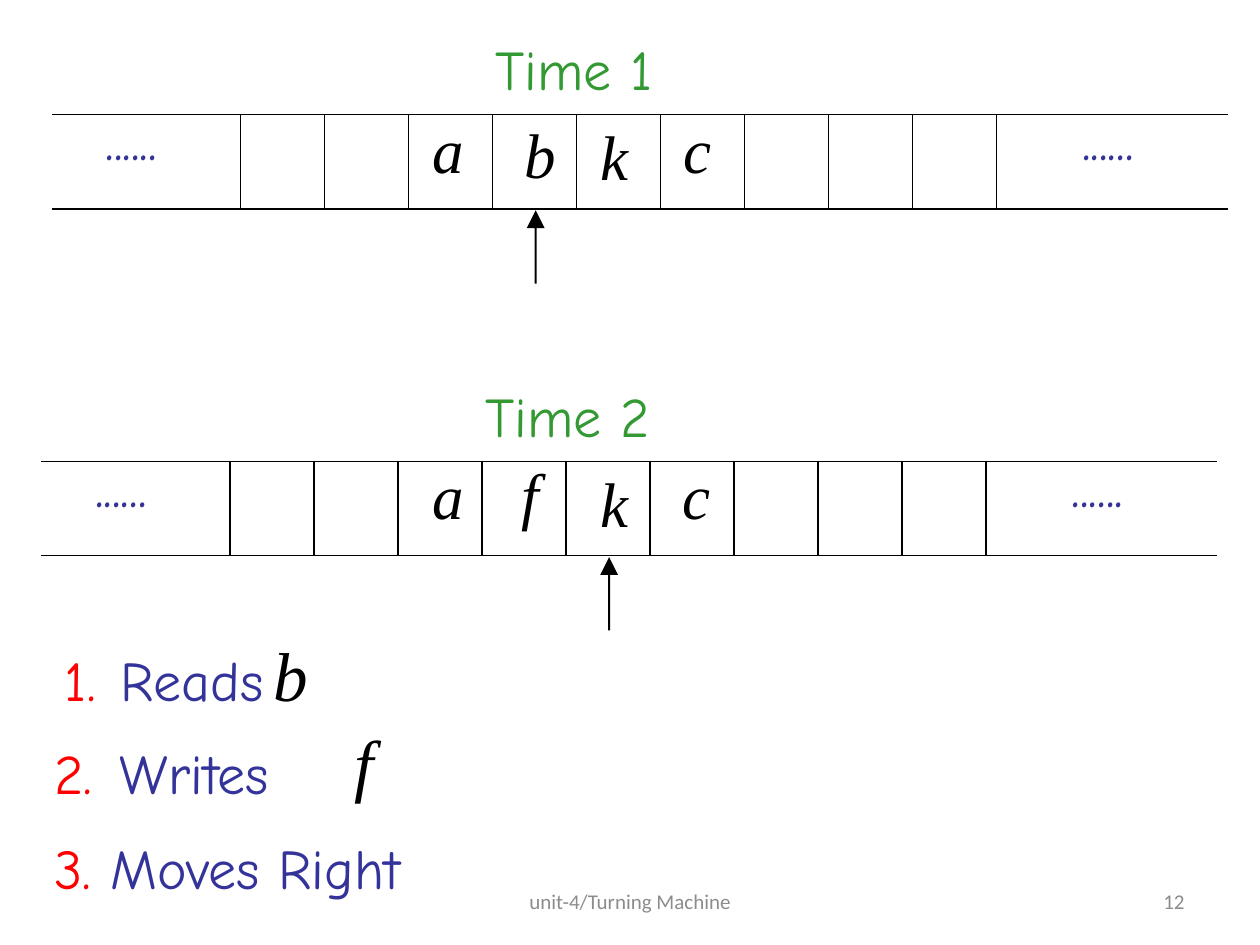
from lxml import etree
from pptx import Presentation
from pptx.dml.color import RGBColor
from pptx.enum import text
from pptx.oxml import ns
from pptx.util import Cm, Pt

# Content: (text, left margin, top margin) for the written tape cells
DOTS = "......"
BLANK = ("", 0, 0)
TAPES = [
    {"title": "Time 1", "title_at": (9.96, 0.66, 3.51, 1.42),
     "left": 1.04, "top": 2.31, "head_x": 10.8,
     "symbols": [BLANK, BLANK, ("a", 0.48, 0.05), ("b", 0.64, 0.15),
                 ("k", 0.48, 0.2), ("c", 0.46, 0.05), BLANK, BLANK, BLANK]},
    {"title": "Time 2", "title_at": (9.75, 7.67, 3.68, 1.42),
     "left": 0.83, "top": 9.3, "head_x": 12.28,
     "symbols": [BLANK, BLANK, ("a", 0.69, 0.05), ("f", 0.79, 0.02),
                 ("k", 0.69, 0.2), ("c", 0.66, 0.05), BLANK, BLANK, BLANK]},
]
HAND, MATH, PLAIN = "Comic Neue", "Times New Roman", "Calibri"
GREEN, BLUE, RED, BLACK, GREY = "339933", "333399", "FF0000", "000000", "8C8C8C"
# Numbered steps: runs, left indent, first-line indent, tab stops, space before
STEPS = [
    ([("Reads\t", HAND, 32, BLUE), ("b", MATH, 39.5, BLACK)], 1.37, -1.13, (1.37, 5.13), 0),
    ([("Writes", HAND, 32, BLUE)], 1.35, -1.32, (1.35,), 13.4),
]
LAST_STEP = [("3. ", HAND, 32, RED), ("Moves Right", HAND, 32, BLUE)]
FOOTERS = [
    ("unit-4/Turning Machine", (8.68, 17.65, 8.05, 1.02), text.PP_ALIGN.CENTER),
    ("12", (18.21, 17.65, 5.92, 1.02), text.PP_ALIGN.RIGHT),
]
# Tape sizes; the cells share the width between the two ends
TAPE_WIDTH, END_LEFT, END_RIGHT, ROW = 23.71, 3.81, 4.66, 1.9
# Head arrow: total height, point length, half widths of point and shaft
ARROW, POINT, HALF_POINT, HALF_SHAFT = 1.48, 0.36, 0.18, 0.02
INSET = 0.03


def colour(value):
    return RGBColor.from_string(value)


def child(parent, tag, **attributes):
    return etree.SubElement(parent, ns.qn(tag), **attributes)


def style(run, name, size, value):
    run.font.name, run.font.size = name, Pt(size)
    run.font.color.rgb = colour(value)
    run.font.bold = False
    run.font.italic = name == MATH


def write(paragraph, runs):
    for words, name, size, value in runs:
        run = paragraph.add_run()
        run.text = words
        style(run, name, size, value)


def set_frame(shape, left_inset=INSET, top_inset=INSET):
    frame = shape.text_frame
    frame.word_wrap = True
    frame.auto_size = text.MSO_AUTO_SIZE.NONE
    frame.vertical_anchor = text.MSO_ANCHOR.TOP
    frame.margin_left, frame.margin_top = Cm(left_inset), Cm(top_inset)
    frame.margin_right = frame.margin_bottom = 0
    return frame


def add_box(slide, place, *insets):
    return set_frame(slide.shapes.add_textbox(*map(Cm, place)), *insets)


def set_borders(cell, open_side=None):
    properties = cell._tc.get_or_add_tcPr()
    for index, side in enumerate(("lnL", "lnR", "lnT", "lnB")):
        line = etree.Element(ns.qn("a:" + side), w=str(Pt(1)))
        if side == open_side:
            child(line, "a:noFill")
        else:
            child(child(line, "a:solidFill"), "a:srgbClr", val=BLACK)
        properties.insert(index, line)


def add_tape(slide, tape):
    symbols = tape["symbols"]
    cells = [(DOTS, 1.09, 0), *symbols, (DOTS, 1.73, 0)]
    inner = (TAPE_WIDTH - END_LEFT - END_RIGHT) / len(symbols)
    widths = [END_LEFT] + [inner] * len(symbols) + [END_RIGHT]
    table = slide.shapes.add_table(1, len(cells), Cm(tape["left"]), Cm(tape["top"]),
                                   Cm(TAPE_WIDTH), Cm(ROW)).table
    table.first_row = table.horz_banding = False
    open_sides = {0: "lnL", len(cells) - 1: "lnR"}
    for index, (symbol, left, top) in enumerate(cells):
        table.columns[index].width = Cm(widths[index])
        cell = table.cell(0, index)
        cell.fill.background()
        set_borders(cell, open_sides.get(index))
        cell.margin_left, cell.margin_top = Cm(left), Cm(top)
        cell.margin_right = cell.margin_bottom = 0
        if not symbol:
            continue
        paragraph = cell.text_frame.paragraphs[0]
        paragraph.text = symbol
        if symbol == DOTS:
            paragraph.line_spacing = Pt(34.4)
            style(paragraph.runs[0], HAND, 32, BLUE)
        else:
            style(paragraph.runs[0], MATH, 36, BLACK)


def add_head(slide, x, top):
    right_side = [(HALF_POINT, POINT), (HALF_SHAFT, POINT), (HALF_SHAFT, ARROW)]
    left_side = [(-across, down) for across, down in reversed(right_side)]
    builder = slide.shapes.build_freeform(Cm(x), Cm(top))
    builder.add_line_segments([(Cm(x + across), Cm(top + down))
                               for across, down in right_side + left_side])
    arrow = builder.convert_to_shape()
    arrow.shadow.inherit = False
    arrow.fill.solid()
    arrow.fill.fore_color.rgb = colour(BLACK)
    arrow.line.fill.background()


def add_step(paragraph, runs, left, first, tabs, before):
    if before:
        paragraph.space_before = Pt(before)
    properties = paragraph._p.get_or_add_pPr()
    properties.set("marL", str(Cm(left)))
    properties.set("indent", str(Cm(first)))
    child(child(properties, "a:buClr"), "a:srgbClr", val=RED)
    child(properties, "a:buAutoNum", type="arabicPeriod")
    stops = child(properties, "a:tabLst")
    for stop in tabs:
        child(stops, "a:tab", pos=str(Cm(stop)), algn="l")
    write(paragraph, runs)


def main():
    presentation = Presentation()
    presentation.slide_width, presentation.slide_height = Cm(25.4), Cm(19.05)
    slide = presentation.slides.add_slide(presentation.slide_layouts[5])

    # Tapes with their titles and head arrows
    for index, tape in enumerate(TAPES):
        if index == 0:
            title = slide.shapes.title
            title.left, title.top, title.width, title.height = map(Cm, tape["title_at"])
            frame = set_frame(title)
        else:
            frame = add_box(slide, tape["title_at"])
        frame.text = tape["title"]
        frame.paragraphs[0].alignment = text.PP_ALIGN.LEFT
        style(frame.paragraphs[0].runs[0], HAND, 32, GREEN)
        add_tape(slide, tape)
        add_head(slide, tape["head_x"], tape["top"] + ROW + 0.03)

    # Steps
    frame = add_box(slide, (1.07, 12.14, 5.82, 4.14), 0, 0.61)
    for index, step in enumerate(STEPS):
        add_step(frame.add_paragraph() if index else frame.paragraphs[0], *step)
    frame = add_box(slide, (7.12, 14.5, 0.46, 1.75))
    write(frame.paragraphs[0], [("f", MATH, 39.5, BLACK)])
    frame = add_box(slide, (1.07, 16.78, 7.85, 1.42))
    write(frame.paragraphs[0], LAST_STEP)

    # Footer and slide number
    for words, place, alignment in FOOTERS:
        frame = add_box(slide, place)
        frame.vertical_anchor = text.MSO_ANCHOR.MIDDLE
        frame.margin_left = frame.margin_right = Cm(0.25)
        frame.text = words
        frame.paragraphs[0].alignment = alignment
        style(frame.paragraphs[0].runs[0], PLAIN, 12, GREY)

    presentation.save("out.pptx")


if __name__ == "__main__":
    main()
